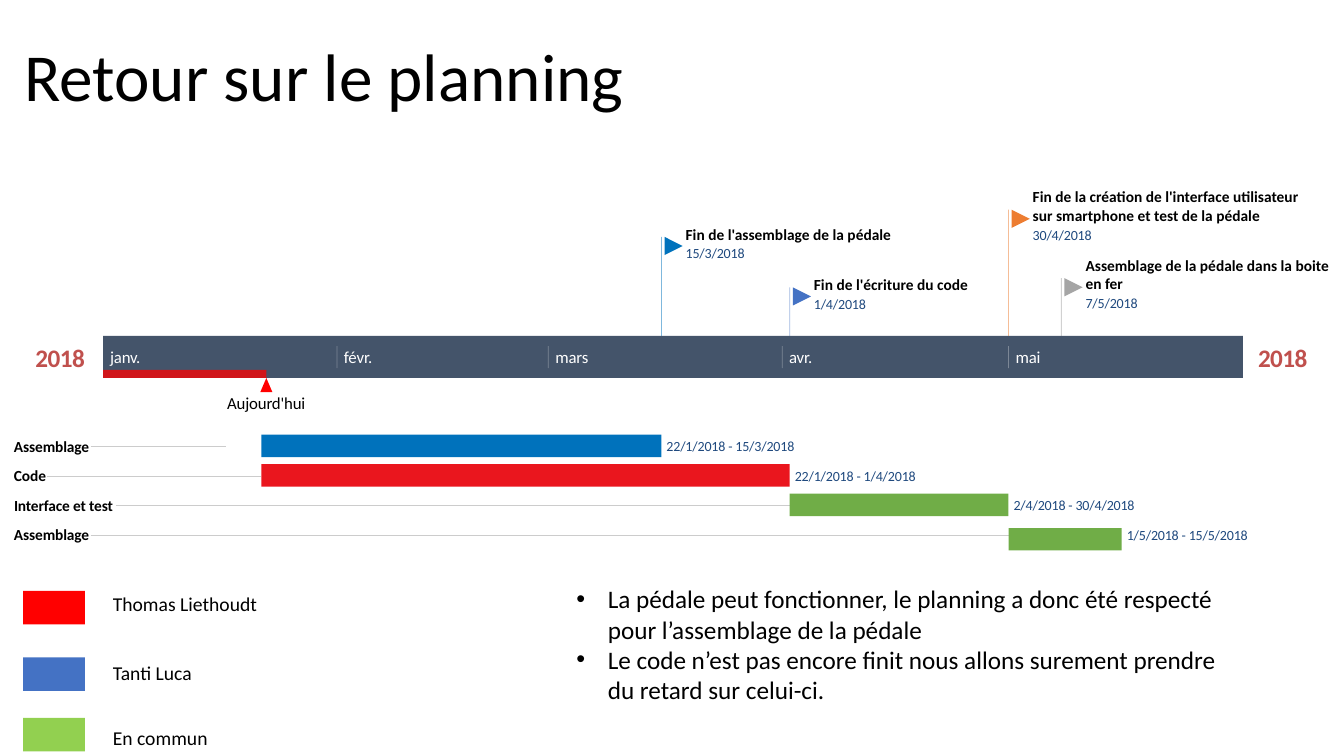
from lxml import etree
from pptx import Presentation
from pptx.dml.color import RGBColor
from pptx.enum.shapes import MSO_CONNECTOR, MSO_SHAPE
from pptx.enum.text import MSO_ANCHOR, MSO_AUTO_SIZE, PP_ALIGN
from pptx.oxml.ns import qn
from pptx.util import Pt

RECT, MERGE, TRI = MSO_SHAPE.RECTANGLE, MSO_SHAPE.FLOWCHART_MERGE, MSO_SHAPE.ISOSCELES_TRIANGLE
LINE = MSO_CONNECTOR.STRAIGHT
LEFT, CENTER = PP_ALIGN.LEFT, PP_ALIGN.CENTER
TOP, MIDDLE = MSO_ANCHOR.TOP, MSO_ANCHOR.MIDDLE
FIXED = MSO_AUTO_SIZE.NONE

BLACK, WHITE, NAVY = "000000", "FFFFFF", "1F497E"
DAY = 5.39
TODAY = 21.64
MONTHS = {"janv.": 0, "févr.": 31, "mars": 59, "avr.": 90, "mai": 120}
STARTS = list(MONTHS.values())


def color(code):
    return RGBColor.from_string(code)


def assign(item, **values):
    for name, value in values.items():
        setattr(item, name, value)


def fade(shape, part):
    for hue in shape._element.spPr.iter(qn("a:srgbClr")):
        etree.SubElement(hue, qn("a:alpha")).set("val", str(part * 1000))


def write(frame, lines, size, hue=BLACK, bold=False, align=LEFT, anchor=TOP,
          wrap=True, pad=(0, 0), space=0):
    side, edge = map(Pt, pad)
    assign(frame, word_wrap=wrap, auto_size=FIXED, vertical_anchor=anchor,
           margin_left=side, margin_right=side, margin_top=edge, margin_bottom=edge)
    for num, line in enumerate(lines):
        para = frame.add_paragraph() if num else frame.paragraphs[0]
        para.alignment = align
        run = para.add_run()
        run.text = line
        assign(run.font, name="Calibri", size=Pt(size), bold=bold)
        run.font.color.rgb = color(hue)
        if space:
            run._r.get_or_add_rPr().set("spc", str(space))


def label(slide, text, box, size, **style):
    frame = slide.shapes.add_textbox(*map(Pt, box)).text_frame
    write(frame, [text], size, **style)


def block(slide, kind, box, hue, turn=0):
    shape = slide.shapes.add_shape(kind, *map(Pt, box))
    shape.shadow.inherit = False
    shape.fill.solid()
    shape.fill.fore_color.rgb = color(hue)
    shape.line.fill.background()
    shape.rotation = turn
    return shape


def rule(slide, ends, hue, width, part=100):
    line = slide.shapes.add_connector(LINE, *map(Pt, ends))
    line.line.color.rgb = color(hue)
    line.line.width = Pt(width)
    if part < 100:
        fade(line, part)
    etree.SubElement(line._element.spPr, qn("a:effectLst"))


def offset(date):
    day, month, year = map(int, date.split("/"))
    return (STARTS[month - 1] + day - 1) * DAY


def heading(slide, box, text):
    title = slide.shapes.title
    for name, value in zip(("left", "top", "width", "height"), box):
        setattr(title, name, Pt(value))
    write(title.text_frame, [text], 48, pad=(7.2, 3.6))


def flags(slide, box, goals):
    left, base = box[:2]
    for text, date, hue, top, width, rows in goals:
        x = left + offset(date) + DAY
        high = 13.4 * rows
        y = top - 8.6 if rows == 1 else top - 15.8
        rule(slide, (x, top, x, base), hue, 0.6, 50)
        block(slide, MERGE, (x + 2.2, top, 13, 13), hue, 270)
        label(slide, text, (x + 17.3, y, width, high), 11, bold=True)
        label(slide, date, (x + 17.3, y + high + 1, 44, 12.2), 10, hue=NAVY, space=-10)


def band(slide, box):
    left, top, width, high = box
    for x in (left - 48.3, left + width + 10.8):
        label(slide, "2018", (x, top + 4.3, 35.3, 22.3), 18, hue="C0504D", bold=True,
              align=CENTER, anchor=MIDDLE, wrap=False, space=-40)
    block(slide, RECT, box, "44546A")
    done = TODAY * DAY
    fade(block(slide, RECT, (left, top + high - 5.8, done, 5.8), "FF0000"), 75)
    for name, start in MONTHS.items():
        x = left + start * DAY
        if start:
            rule(slide, (x, top + 7.2, x, top + 23), WHITE, 0.5, 30)
        label(slide, name, (x + 5, top + 7.9, 24, 14.4), 12, hue=WHITE,
              anchor=MIDDLE, wrap=False, space=-10)
    mid = left + done
    block(slide, TRI, (mid - 4.3, top + high, 8.6, 10), "FF0000")
    label(slide, "Aujourd'hui", (mid - 29.2, top + 40.3, 58.4, 14.4), 12,
          align=CENTER, anchor=MIDDLE, wrap=False, space=-10)


def tasks(slide, box, axis, jobs):
    left, top, width, step = box
    for num, (name, wide, start, end, hue, drop, stop) in enumerate(jobs):
        y = top + num * step
        x = axis + offset(start)
        last = axis + offset(end) + DAY
        rule(slide, (left + wide, y + 8.4, stop or x, y + 8.4), "CCCCCC", 0.6)
        block(slide, RECT, (x, y + drop, last - x, 16), hue)
        label(slide, f"{start} - {end}", (last + 3.6, y + 2, 95, 12.2), 10, hue=NAVY, space=-10)
        label(slide, name, (left, y + 1.4, wide, 13.4), 11, bold=True, space=-10)


def legend(slide, box, people):
    left, top, width, high = box
    for name, hue, down, shift in people:
        y = top + down
        block(slide, RECT, (left, y, width, high), hue)
        label(slide, name, (left + 56.9, y + shift, 119, 24.5), 14,
              wrap=False, pad=(7.2, 3.6))


def notes(slide, box, lines):
    frame = slide.shapes.add_textbox(*map(Pt, box)).text_frame
    write(frame, lines, 18, pad=(7.2, 3.6))
    for para in frame.paragraphs:
        props = para._p.get_or_add_pPr()
        props.set("marL", str(Pt(22.5)))
        props.set("indent", str(-Pt(22.5)))
        etree.SubElement(props, qn("a:buFont")).set("typeface", "Arial")
        etree.SubElement(props, qn("a:buChar")).set("char", "•")


GOALS = [
    ("Fin de l'assemblage de la pédale", "15/3/2018", "0072BC", 169.2, 148, 1),
    ("Fin de l'écriture du code", "1/4/2018", "4472C4", 205.2, 112, 1),
    ("Fin de la création de l'interface utilisateur sur smartphone et test de la pédale",
     "30/4/2018", "ED7D31", 149.8, 192.2, 2),
    ("Assemblage de la pédale dans la boite en fer", "7/5/2018", "A5A5A5", 198.7, 177.1, 2),
]
JOBS = [
    ("Assemblage", 54.7, "22/1/2018", "15/3/2018", "0072BC", 0, 161.3),
    ("Code", 23.8, "22/1/2018", "1/4/2018", "EA161E", 0, None),
    ("Interface et test", 72.7, "2/4/2018", "30/4/2018", "70AD47", 0, None),
    ("Assemblage", 54.7, "1/5/2018", "15/5/2018", "70AD47", 3.4, None),
]
PEOPLE = [
    ("Thomas Liethoudt", "FF0000", 0, -2.9),
    ("Tanti Luca", "4472C4", 47.5, -0.7),
    ("En commun", "92D050", 90.7, 2.2),
]
LINES = [
    "La pédale peut fonctionner, le planning a donc été respecté pour l’assemblage de la pédale",
    "Le code n’est pas encore finit nous allons surement prendre du retard sur celui-ci.",
]
BAND = (73.6, 240, 814.2, 30)

deck = Presentation()
assign(deck, slide_width=Pt(960), slide_height=Pt(540))
slide = deck.slides.add_slide(deck.slide_layouts[5])
heading(slide, (10, 20.9, 456.5, 65.5), "Retour sur le planning")
flags(slide, BAND, GOALS)
band(slide, BAND)
tasks(slide, (10, 310.5, 890, 21.1), BAND[0], JOBS)
legend(slide, (16.6, 422, 44, 24), PEOPLE)
notes(slide, (404.6, 413.3, 493.9, 94.3), LINES)
deck.save("out.pptx")
